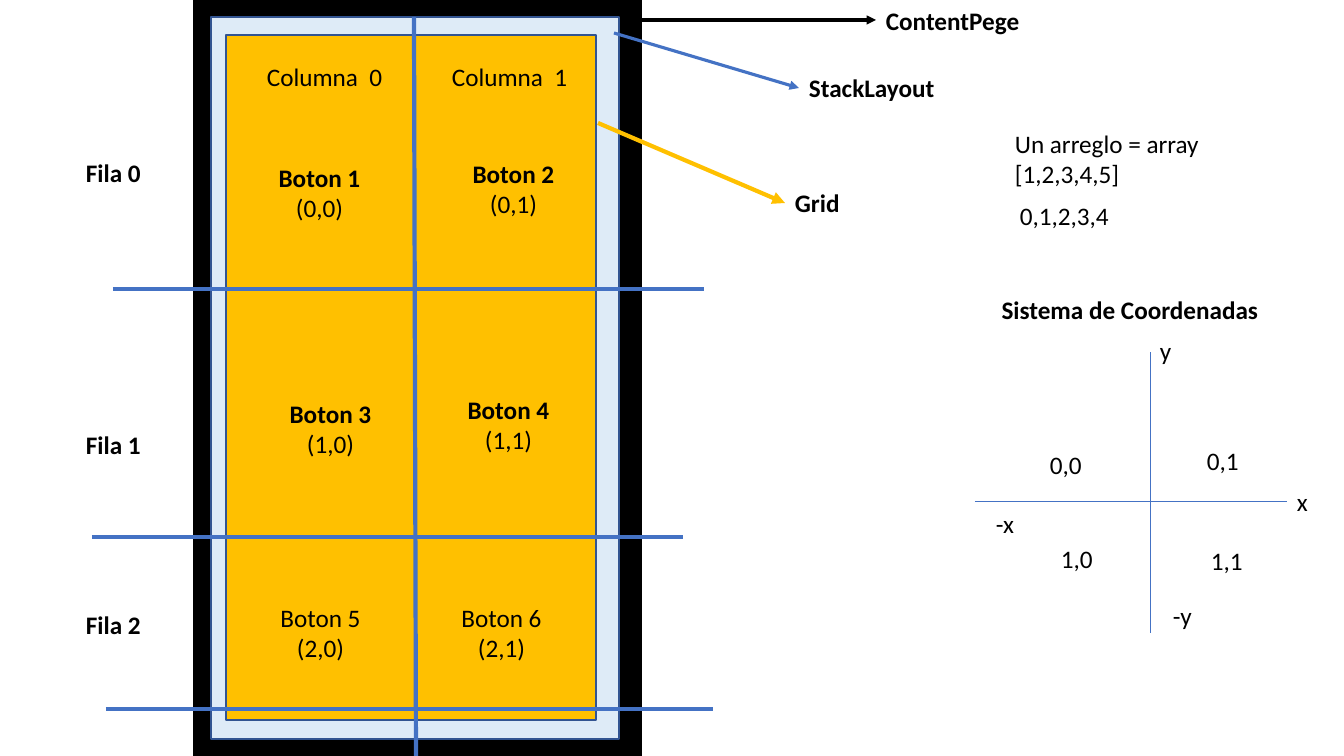
import pptx
import pptx.util
import pptx.dml.color
import pptx.enum.shapes
import pptx.enum.text
import pptx.oxml.ns
import lxml.etree

PX = 9525 * 20 / 21  # 100.8 px to the inch
COLORS = {"black": "000000", "pale": "DEEBF7", "edge": "325491",
          "amber": "FFC000", "blue": "4472C4"}

deck = pptx.Presentation()
deck.slide_width, deck.slide_height = round(1344 * PX), round(756 * PX)
slide = deck.slides.add_slide(deck.slide_layouts[6])


def add_line(x1, y1, x2, y2, color, width, arrow=False):
    line = slide.shapes.add_connector(
        pptx.enum.shapes.MSO_CONNECTOR.STRAIGHT,
        *(round(v * PX) for v in (x1, y1, x2, y2)))
    line.line.color.rgb = pptx.dml.color.RGBColor.from_string(COLORS[color])
    line.line.width = pptx.util.Pt(width)
    if arrow:
        lxml.etree.SubElement(line.line._get_or_add_ln(),
                              pptx.oxml.ns.qn("a:tailEnd"), type="triangle")
    lxml.etree.SubElement(line._element.spPr, pptx.oxml.ns.qn("a:effectLst"))


def add_label(text, x, y, width, bold=False, centered=False):
    rows = text.split("\n")
    height = 40 if len(rows) == 1 else 72
    box = slide.shapes.add_textbox(*(round(v * PX) for v in (x, y, width, height)))
    box.text_frame.word_wrap = True
    box.text_frame.text = text
    for index, paragraph in enumerate(box.text_frame.paragraphs):
        if centered:
            paragraph.alignment = pptx.enum.text.PP_ALIGN.CENTER
        font = paragraph.runs[0].font
        font.name, font.size = "Calibri", pptx.util.Pt(18)
        font.bold = bold and index == 0
        font.color.rgb = pptx.dml.color.RGBColor.from_string(COLORS["black"])


# Nested page, stack and grid
for x, y, width, height, fill, edge in [
        (194, 0, 447, 756, "black", "black"),
        (211, 17, 408, 722, "pale", "edge"),
        (226, 35, 370, 685, "amber", "edge")]:
    panel = slide.shapes.add_shape(
        pptx.enum.shapes.MSO_SHAPE.RECTANGLE,
        *(round(v * PX) for v in (x, y, width, height)))
    panel.shadow.inherit = False
    panel.fill.solid()
    panel.fill.fore_color.rgb = pptx.dml.color.RGBColor.from_string(COLORS[fill])
    panel.line.color.rgb = pptx.dml.color.RGBColor.from_string(COLORS[edge])
    panel.line.width = pptx.util.Pt(1)

# Arrows naming each layer
for name, x1, y1, x2, y2, color, weight, label_y, label_width in [
        ("ContentPege", 640, 20, 876, 20, "black", 2.25, 0, 220),
        ("StackLayout", 614, 33, 799, 88, "blue", 2.25, 67, 156),
        ("Grid", 598, 123, 785, 203, "amber", 3, 182, 80)]:
    add_line(x1, y1, x2, y2, color, weight, arrow=True)
    add_label(name, x2, label_y, label_width, bold=True)

# Column and row dividers
add_line(414, 17, 416, 756, "blue", 3)
for left, y, right in [(113, 289, 704), (92, 537, 683), (106, 709, 713)]:
    add_line(left, y, right, y, "blue", 3)

# Column and row headings
for column, x in enumerate((257, 442)):
    add_label(f"Columna  {column}", x, 56, 141)
for row, y in enumerate((152, 424, 604)):
    add_label(f"Fila {row}", 76, y, 93, bold=True)

# Buttons, numbered across the grid
button_places = [(257, 157), (451, 153), (268, 393), (446, 389), (258, 597), (439, 597)]
for index, (x, y) in enumerate(button_places):
    row, column = divmod(index, 2)
    add_label(f"Boton {index + 1}\n({row},{column})", x, y, 125,
              bold=row < 2, centered=True)

# Array example
add_label("Un arreglo = array\n[1,2,3,4,5]", 1005, 123, 260)
add_label("0,1,2,3,4", 1010, 195, 140)

# Coordinate system
add_label("Sistema de Coordenadas", 965, 289, 330, bold=True, centered=True)
add_line(975, 501, 1287, 501, "blue", 0.5)
add_line(1150, 633, 1150, 352, "blue", 0.5)
for text, x, y, width in [
        ("x", 1287, 481, 30), ("-x", 986, 503, 39),
        ("y", 1150, 330, 30), ("-y", 1163, 595, 55),
        ("0,0", 1040, 444, 77), ("0,1", 1197, 440, 77),
        ("1,0", 1051, 538, 77), ("1,1", 1201, 540, 77)]:
    add_label(text, x, y, width)

deck.save("out.pptx")
